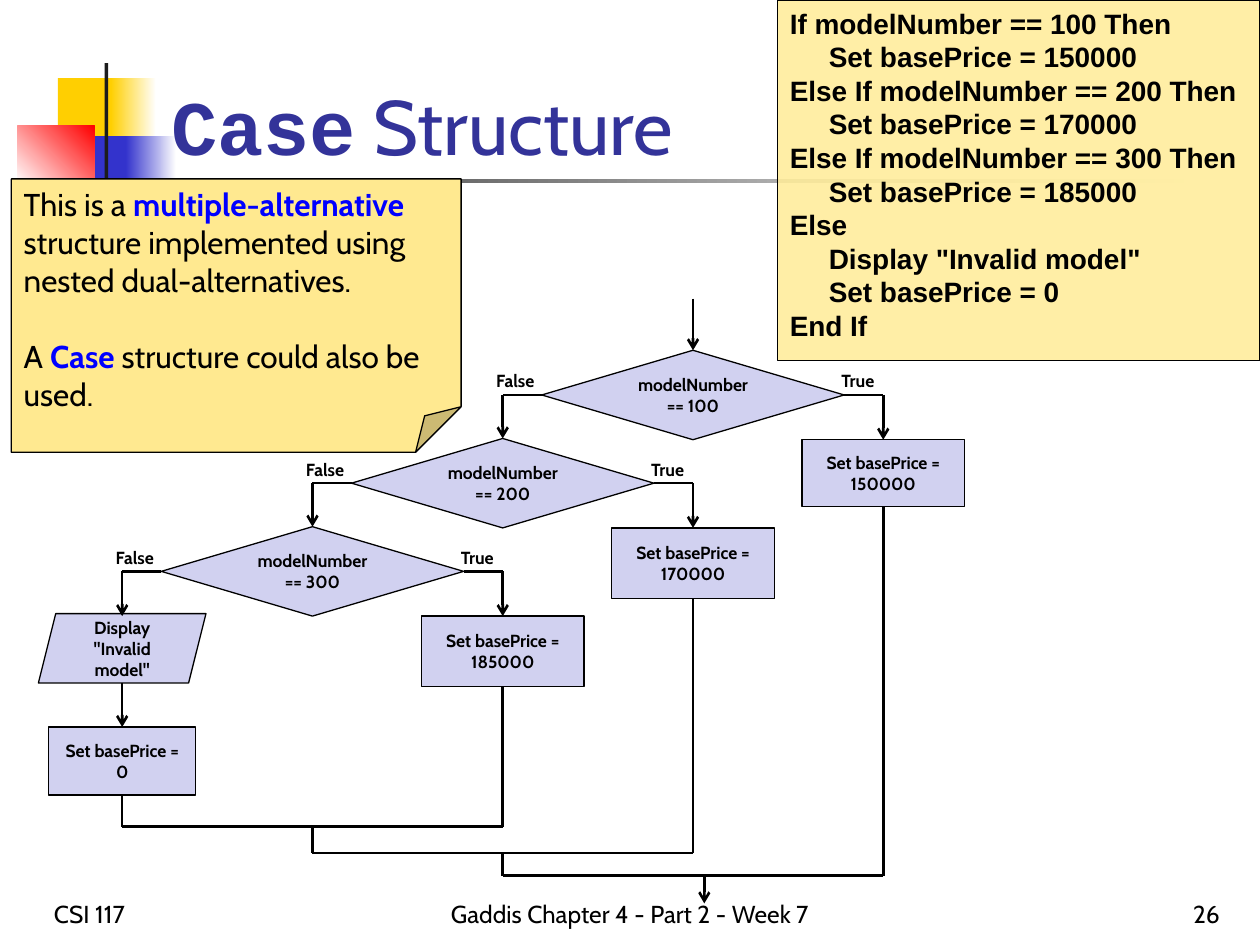
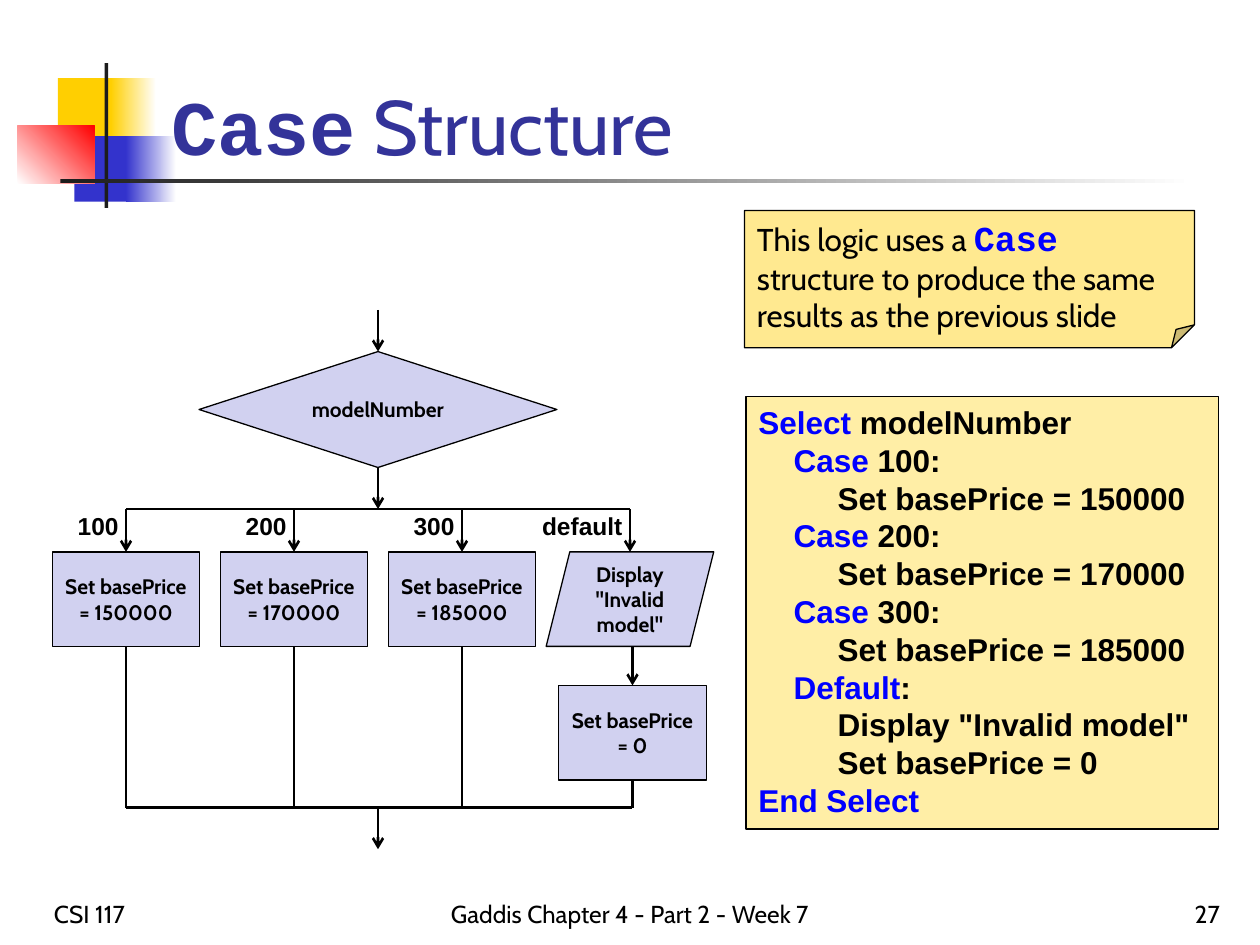
"""Build two slides on nested decisions and the Case structure."""
from lxml import etree
from pptx import Presentation
from pptx.dml.color import RGBColor
from pptx.enum.shapes import MSO_CONNECTOR, MSO_SHAPE
from pptx.enum.text import MSO_ANCHOR, PP_ALIGN
from pptx.oxml.ns import qn
from pptx.util import Inches, Pt

COLORS = {
    "black": "000000", "white": "FFFFFF", "ink": "1C1C1C", "title": "333399",
    "yellow": "FFCF01", "blue": "3333CC", "red": "FF0000", "keyword": "0000FF",
    "flow": "D1D1F0", "note": "FFE990", "code": "FFEC99",
}
RECT = MSO_SHAPE.RECTANGLE
DECISION = MSO_SHAPE.FLOWCHART_DECISION
PARALLELOGRAM = MSO_SHAPE.PARALLELOGRAM
NOTE = MSO_SHAPE.FOLDED_CORNER
STRAIGHT = MSO_CONNECTOR.STRAIGHT
LEFT, CENTER, RIGHT = PP_ALIGN.LEFT, PP_ALIGN.CENTER, PP_ALIGN.RIGHT
TOP, MIDDLE, BOTTOM = MSO_ANCHOR.TOP, MSO_ANCHOR.MIDDLE, MSO_ANCHOR.BOTTOM

KEYWORD = {"color": "keyword", "bold": True}
MONO = {"font": "Courier New", "bold": True}
DISPLAY_TEXT = 'Display "Invalid model"'
SQUARES = [
    (0.46, 0.62, 0.48, 0.52, ["yellow"], 0),
    (0.88, 0.62, 0.36, 0.52, ["yellow", "white"], 0),
    (0.59, 1.08, 0.46, 0.52, ["blue"], 0),
    (1, 1.08, 0.4, 0.52, ["blue", "white"], 0),
    (0.14, 1, 0.61, 0.46, ["white", "red"], 45),
    (0.83, 0.5, 0.03, 1.15, ["ink"], 0),
    (0.48, 1.42, 9, 0.03, ["ink", "white"], 0),
]


def rgb(name):
    """Return the named colour."""
    return RGBColor.from_string(COLORS[name])


def add_text(frame, runs, size=18, font="Cabin", bold=False, color="black",
             align=LEFT, indent=0, gap=0):
    """Write one paragraph of strings or (string, changes) runs."""
    paragraph = frame.add_paragraph() if frame.text else frame.paragraphs[0]
    paragraph.alignment = align
    paragraph.space_before = Pt(gap)
    if indent:
        properties = paragraph._p.get_or_add_pPr()
        properties.set("marL", str(Inches(indent)))
        properties.set("indent", "0")
    for part in [runs] if isinstance(runs, str) else runs:
        text, changes = (part, {}) if isinstance(part, str) else part
        look = {"size": size, "font": font, "bold": bold, "color": color, **changes}
        run = paragraph.add_run()
        run.text = text
        run.font.size = Pt(look["size"])
        run.font.name = look["font"]
        run.font.bold = look["bold"]
        run.font.color.rgb = rgb(look["color"])


def add_block(slide, kind, left, top, width, height, fills, angle=0,
              outlined=True, anchor=TOP):
    """Add a preset shape with a plain or two-colour fill."""
    block = slide.shapes.add_shape(
        kind, Inches(left), Inches(top), Inches(width), Inches(height))
    block.shadow.inherit = False
    if len(fills) == 1:
        block.fill.solid()
        block.fill.fore_color.rgb = rgb(fills[0])
    else:
        block.fill.gradient()
        block.fill.gradient_angle = angle
        for position, (stop, name) in enumerate(zip(block.fill.gradient_stops, fills)):
            stop.position = position
            stop.color.rgb = rgb(name)
    if outlined:
        block.line.color.rgb = rgb("black")
        block.line.width = Pt(0.75)
    else:
        block.line.fill.background()
    block.text_frame.word_wrap = True
    block.text_frame.vertical_anchor = anchor
    return block


def add_step(slide, kind, text, center, top, width, height, size):
    """Add a flowchart step centred on a column."""
    step = add_block(slide, kind, center - width / 2, top, width, height,
                     ["flow"], anchor=MIDDLE)
    add_text(step.text_frame, text, size=size, bold=True, align=CENTER)
    return step


def add_label(slide, text, left, top, width, height, wrap=False, anchor=TOP, **look):
    """Add a text box."""
    label = slide.shapes.add_textbox(
        Inches(left), Inches(top), Inches(width), Inches(height))
    label.text_frame.word_wrap = wrap
    label.text_frame.vertical_anchor = anchor
    add_text(label.text_frame, text, **look)


def add_flow(slide, start, end, arrow=False, source=None, target=None):
    """Draw a flow line, joined to the steps it touches."""
    line = slide.shapes.add_connector(
        STRAIGHT, *(Inches(value) for value in (*start, *end)))
    line.line.color.rgb = rgb("black")
    line.line.width = Pt(1.5)
    run = end[0] - start[0]
    leaving, entering = (2, 0) if abs(run) < 0.01 else (1, 3) if run < 0 else (3, 1)
    if source is not None:
        line.begin_connect(source, leaving)
    if target is not None:
        line.end_connect(target, entering)
    properties = line.element.spPr
    if arrow:
        etree.SubElement(properties.find(qn("a:ln")), qn("a:tailEnd"), type="arrow")
    etree.SubElement(properties, qn("a:effectLst"))


def add_code(slide, left, top, width, height, size, indents, lines):
    """Add a translucent panel of (level, runs) pseudocode lines."""
    panel = add_block(slide, RECT, left, top, width, height, ["code"])
    tint = panel.element.spPr.find(qn("a:solidFill"))[0]
    etree.SubElement(tint, qn("a:alpha"), val="87000")
    for level, runs in lines:
        add_text(panel.text_frame, runs, size=size, font="Arial", bold=True,
                 indent=indents[level])


def add_note(slide, left, top, height, *paragraphs):
    """Add a folded note."""
    note = add_block(slide, NOTE, left, top, 3.57, height, ["note"])
    for index, runs in enumerate(paragraphs):
        add_text(note.text_frame, runs, gap=22 if index else 0)


def start_slide(deck, number):
    """Add a slide with the shared title, squares and footer."""
    slide = deck.slides.add_slide(deck.slide_layouts[5])
    for *place, fills, angle in SQUARES:
        add_block(slide, RECT, *place, fills, angle, outlined=False)
    title = slide.shapes.title
    title.left, title.top = Inches(1.26), Inches(0.08)
    title.width, title.height = Inches(8.52), Inches(1.33)
    title.text_frame.vertical_anchor = BOTTOM
    add_text(title.text_frame, [("Case", MONO), " Structure"], size=44, color="title")
    title.element.getparent().append(title.element)
    for text, left, width, align in [
        ("CSI 117", 0.33, 1.42, LEFT),
        ("Gaddis Chapter 4 - Part 2 - Week 7", 2, 6, CENTER),
        (str(number), 8.25, 1.53, RIGHT),
    ]:
        add_label(slide, text, left, 6.92, width, 0.5, wrap=True, anchor=BOTTOM,
                  size=14, align=align)
    return slide


def draw_nested_decisions(slide):
    """Draw three chained decisions and the lines that merge them."""
    reach, drop, half_width, height = 1.51, 0.7, 1.2, 0.71
    decisions, prices = [], []
    models = [(100, 150000, 0.53, 6.95), (200, 170000, 0.56, 6.77),
              (300, 185000, 0.56, 6.56)]
    for index, (model, price, price_height, _) in enumerate(models):
        center, top = 5.5 - reach * index, 2.78 + drop * index
        decisions.append(add_step(slide, DECISION, f"modelNumber == {model}",
                                  center, top, 2 * half_width, height, 10))
        prices.append(add_step(slide, RECT, f"Set basePrice = {price}",
                               center + reach, top + height, 1.29, price_height, 10))
    last_column = 5.5 - reach * 3
    add_step(slide, PARALLELOGRAM, DISPLAY_TEXT, last_column, 4.87, 1.33, 0.55, 10)
    zero_price = add_step(slide, RECT, "Set basePrice = 0", last_column, 5.77, 1.17, 0.54, 10)

    add_flow(slide, (5.5, 2.37), (5.5, 2.78), True, target=decisions[0])
    add_flow(slide, (last_column, 5.42), (last_column, 5.77), True, target=zero_price)
    false_targets = decisions[1:] + [None]
    merge_starts = [models[1][3], models[2][3], 6.31]
    for index, (_, _, price_height, merge) in enumerate(models):
        center, top = 5.5 - reach * index, 2.78 + drop * index
        middle, bottom = top + height / 2, top + height
        for text, side, label_left, width, target in [
            ("False", -1, center - 1.66, 0.56, false_targets[index]),
            ("True", 1, center + 1.08, 0.52, prices[index]),
        ]:
            column = center + side * reach
            add_flow(slide, (center + side * half_width, middle), (column, middle),
                     source=decisions[index])
            add_flow(slide, (column, middle), (column, bottom), True, target=target)
            add_label(slide, text, label_left, top + 0.11, width, 0.27, size=10, bold=True)
        left, right = center - reach, center + reach
        add_flow(slide, (right, bottom + price_height), (right, merge), source=prices[index])
        add_flow(slide, (right, merge), (left, merge))
        add_flow(slide, (left, merge_starts[index]), (left, merge),
                 source=zero_price if index == 2 else None)
    add_flow(slide, (5.59, 6.95), (5.59, 7.17), True)


def draw_case(slide):
    """Draw one decision with four parallel cases."""
    center, split, top, height, merge = 3, 4.04, 4.38, 0.75, 6.41
    last_column, zero_column = 5, 5.02
    bottom = top + height
    decision = add_step(slide, DECISION, "modelNumber", center, 2.79, 2.84, 0.92, 12)
    add_flow(slide, (center, 2.46), (center, 2.79), True, target=decision)
    add_flow(slide, (center, 3.71), (center, split), True, source=decision)
    add_flow(slide, (1, split), (last_column, split))
    cases = [("100", 150000), ("200", 170000), ("300", 185000), ("default", None)]
    for index, (case, price) in enumerate(cases):
        column = 1 + index * 4 / 3
        step = None
        if price:
            step = add_step(slide, RECT, f"Set basePrice = {price}", column, top,
                            1.17, height, 12)
            add_flow(slide, (column, bottom), (column, merge), source=step)
        else:
            add_step(slide, PARALLELOGRAM, DISPLAY_TEXT, column, top, 1.33, height, 12)
        add_flow(slide, (column, split), (column, top), True, target=step)
        add_label(slide, case, column - 0.8, 4.01, 0.84, 0.34, size=14, font="Arial",
                  bold=True, align=RIGHT)
    zero_price = add_step(slide, RECT, "Set basePrice = 0", zero_column, 5.44, 1.17, height, 12)
    add_flow(slide, (zero_column, bottom), (zero_column, 5.44), True, target=zero_price)
    add_flow(slide, (zero_column, 6.19), (zero_column, merge), source=zero_price)
    add_flow(slide, (1, merge), (zero_column, merge))
    add_flow(slide, (center, merge), (center, 6.74), True)


def build_nested_slide(deck):
    """Build the nested decisions slide."""
    slide = start_slide(deck, 26)
    draw_nested_decisions(slide)
    add_note(
        slide, 0.09, 1.42, 2.17,
        ["This is a ", ("multiple-alternative ", KEYWORD),
         "structure implemented using nested dual-alternatives."],
        ["A ", ("Case ", KEYWORD), "structure could also be used."])
    add_code(slide, 6.17, 0, 3.83, 2.86, 16, (0, 0.31), [
        (0, "If modelNumber == 100 Then"),
        (1, "Set basePrice = 150000"),
        (0, "Else If modelNumber == 200 Then"),
        (1, "Set basePrice = 170000"),
        (0, "Else If modelNumber == 300 Then"),
        (1, "Set basePrice = 185000"),
        (0, "Else"),
        (1, DISPLAY_TEXT),
        (1, "Set basePrice = 0"),
        (0, "End If"),
    ])


def build_case_slide(deck):
    """Build the Case structure slide."""
    slide = start_slide(deck, 27)
    add_code(slide, 5.92, 3.15, 3.75, 3.43, 18, (0, 0.28, 0.63), [
        (0, [("Select ", KEYWORD), "modelNumber"]),
        (1, [("Case", KEYWORD), " 100:"]),
        (2, "Set basePrice = 150000"),
        (1, [("Case", KEYWORD), " 200:"]),
        (2, "Set basePrice = 170000"),
        (1, [("Case", KEYWORD), " 300:"]),
        (2, "Set basePrice = 185000"),
        (1, [("Default", KEYWORD), ":"]),
        (2, DISPLAY_TEXT),
        (2, "Set basePrice = 0"),
        (0, [("End Select", KEYWORD)]),
    ])
    draw_case(slide)
    add_note(
        slide, 5.91, 1.67, 1.09,
        ["This logic uses a ", ("Case", {**KEYWORD, **MONO, "size": 20}),
         " structure to produce the same results as the previous slide"])


def main():
    """Build and save the deck."""
    deck = Presentation()
    deck.slide_width, deck.slide_height = Inches(10), Inches(7.5)
    build_nested_slide(deck)
    build_case_slide(deck)
    deck.save("out.pptx")


if __name__ == "__main__":
    main()
